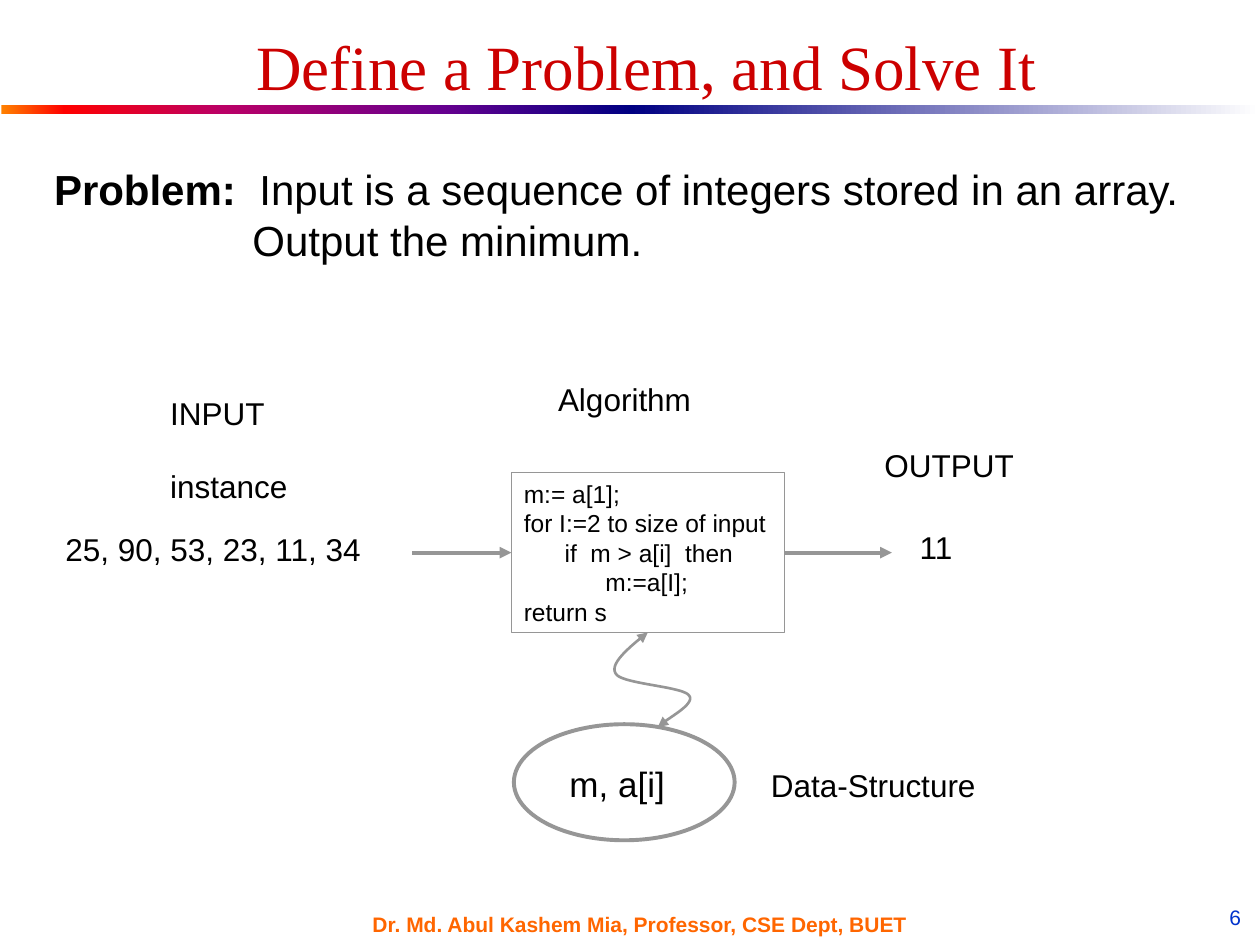
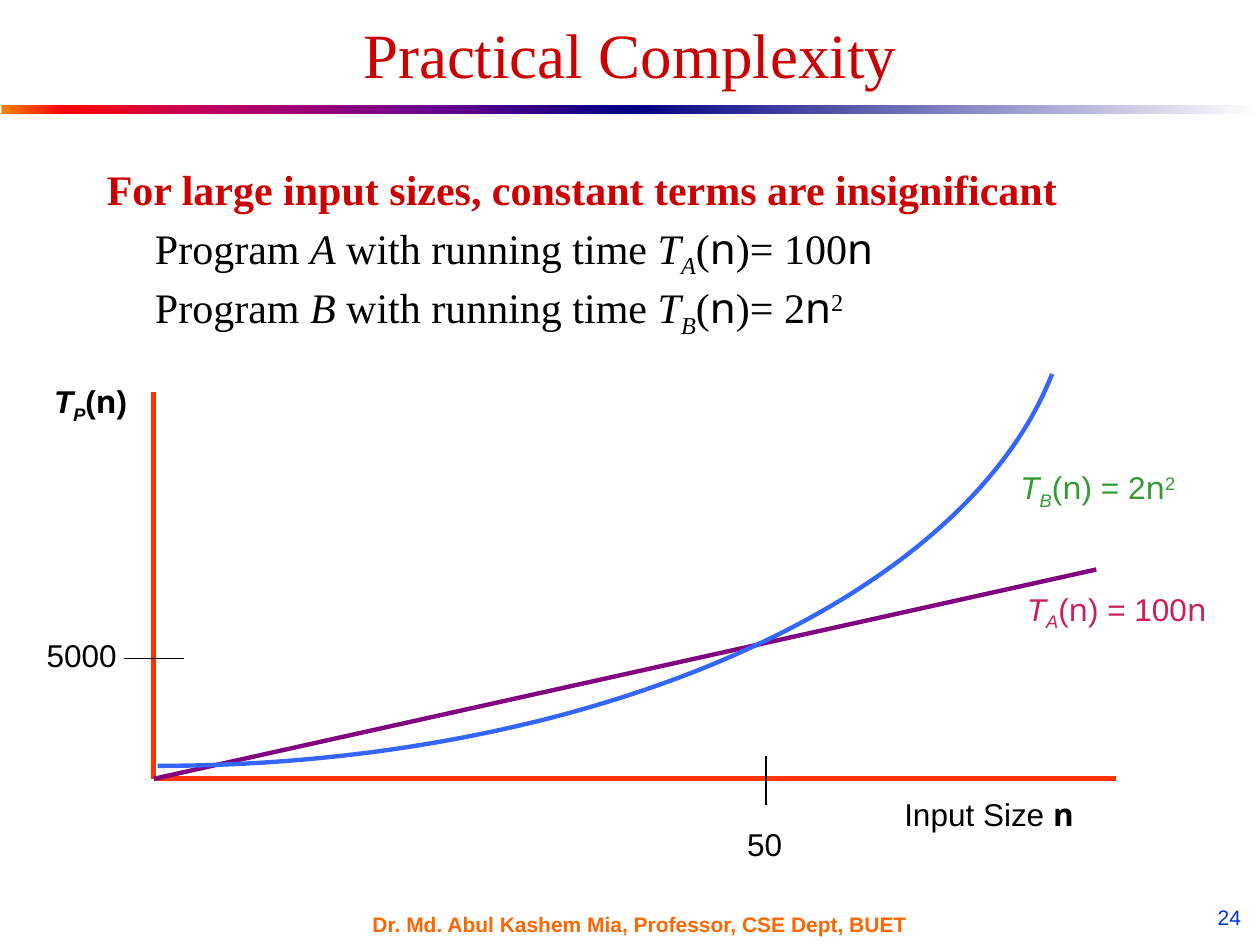
from lxml import etree
from pptx import Presentation
from pptx import util as u
from pptx.dml.color import RGBColor
from pptx.enum import shapes, text
from pptx.oxml.ns import qn

BLACK, GREY, RED, ORANGE = "000000", "969696", "CC0000", "FF6600"
SERIF, SANS, SYMBOL = "Times New Roman", "Arial", "Noto Sans"
STRAIGHT = shapes.MSO_CONNECTOR.STRAIGHT
LEFT, CENTER, RIGHT = text.PP_ALIGN.LEFT, text.PP_ALIGN.CENTER, text.PP_ALIGN.RIGHT
TOP, MIDDLE = text.MSO_ANCHOR.TOP, text.MSO_ANCHOR.MIDDLE


def write(shape, paragraphs, font=SANS, size=18, color=BLACK, bold=False, align=LEFT,
          anchor=TOP, wrap=True, grow=False, indents=(), spacing=1.0, before=0):
    """Fill a shape; run flags: b bold, i italic, r red, s symbol font, _ sub, ^ super."""
    frame = shape.text_frame
    frame.auto_size = text.MSO_AUTO_SIZE.SHAPE_TO_FIT_TEXT if grow else text.MSO_AUTO_SIZE.NONE
    frame.word_wrap = wrap
    frame.vertical_anchor = anchor
    for index, runs in enumerate(paragraphs):
        paragraph = frame.add_paragraph() if index else frame.paragraphs[0]
        paragraph.alignment = align
        paragraph.line_spacing = spacing
        paragraph.space_before = u.Pt(before if index else 0)
        if indents:
            margin, first = indents[index]
            properties = paragraph._p.get_or_add_pPr()
            properties.set("marL", str(u.Cm(margin)))
            properties.set("indent", str(u.Cm(first)))
            etree.SubElement(properties, qn("a:buNone"))
        for words, flags in [(runs, "")] if isinstance(runs, str) else runs:
            run = paragraph.add_run()
            run.text = words
            run.font.name = SYMBOL if "s" in flags else font
            run.font.size = u.Pt(size)
            run.font.bold = bold or "b" in flags
            run.font.italic = "i" in flags
            run.font.color.rgb = RGBColor.from_string(RED if "r" in flags else color)
            if "_" in flags or "^" in flags:
                baseline = "-25000" if "_" in flags else "30000"
                run._r.get_or_add_rPr().set("baseline", baseline)


def stroke(shape, color, width, arrows=()):
    """Set the line of a shape or connector, with arrows at headEnd or tailEnd."""
    shape.line.color.rgb = RGBColor.from_string(color)
    shape.line.width = u.Pt(width)
    properties = shape.element.spPr
    for end in arrows:
        etree.SubElement(properties.find(qn("a:ln")), qn("a:" + end), type="triangle")
    if properties.find(qn("a:effectLst")) is None:
        etree.SubElement(properties, qn("a:effectLst"))


presentation = Presentation()
presentation.slide_width, presentation.slide_height = u.Cm(25.4), u.Cm(19.05)

# Shared parts: title, gradient bands, slide number, footer
bands = [
    (0.03, [(0, "FF8200"), (10, "FF0000"), (35, "BA0066"), (70, "66008F"), (100, "000082")]),
    (12.7, [(0, "000082"), (100, "FFFFFF")]),
]
pages = [
    (5, "Define a Problem, and Solve It", (2.97, 0.58, 20.12, 1.47), "6"),
    (1, "Practical Complexity", (1.27, 0.43, 22.86, 1.27), "24"),
]
for layout, title_text, place, number in pages:
    slide = presentation.slides.add_slide(presentation.slide_layouts[layout])
    title = slide.shapes.title
    title.left, title.top, title.width, title.height = map(u.Cm, place)
    write(title, [title_text], font=SERIF, size=36, color=RED, align=CENTER, anchor=MIDDLE)

    for left, stops in bands:
        band = slide.shapes.add_shape(shapes.MSO_SHAPE.RECTANGLE, u.Cm(left), u.Cm(2.11),
                                      u.Cm(12.7), u.Cm(0.2))
        band.shadow.inherit = False
        band.line.fill.background()
        band.fill.gradient()
        band.fill.gradient_angle = 0
        stop_list = band.element.spPr.find(qn("a:gradFill")).find(qn("a:gsLst"))
        stop_list.clear()
        for position, color in stops:
            stop = etree.SubElement(stop_list, qn("a:gs"), pos=str(position * 1000))
            etree.SubElement(stop, qn("a:srgbClr"), val=color)

    number_box = slide.shapes.add_textbox(u.Cm(19.35), u.Cm(18.11), u.Cm(5.92), u.Cm(0.69))
    write(number_box, [number], size=12, color="0033CC", align=RIGHT)
    footer = slide.shapes.add_textbox(u.Cm(6.55), u.Cm(18.21), u.Cm(12.7), u.Cm(0.84))
    write(footer, ["Dr. Md. Abul Kashem Mia, Professor, CSE Dept, BUET"], size=12,
          color=ORANGE, bold=True, align=CENTER, anchor=MIDDLE, wrap=False)

problem_slide, complexity_slide = presentation.slides

# Slide 1: problem statement
problem = problem_slide.shapes.add_textbox(u.Cm(0.84), u.Cm(3.18), u.Cm(23.9), u.Cm(2.29))
write(problem, [[("Problem:", "b"), ("\tInput is a sequence of integers stored in an array.", "")],
                "Output the minimum."], size=24, indents=[(4.14, -4.14), (4, 0)])

# Slide 1: algorithm box and data-structure ellipse
algorithm = problem_slide.shapes.add_shape(shapes.MSO_SHAPE.RECTANGLE, u.Cm(10.31), u.Cm(9.53),
                                           u.Cm(5.51), u.Cm(3.22))
data_structure = problem_slide.shapes.add_shape(shapes.MSO_SHAPE.OVAL, u.Cm(10.36), u.Cm(14.6),
                                                u.Cm(4.45), u.Cm(2.34))
for shape, width in [(algorithm, 0.75), (data_structure, 2.25)]:
    shape.shadow.inherit = False
    shape.fill.background()
    stroke(shape, GREY, width)
write(algorithm, ["m:= a[1];", "for I:=2 to size of input", "      if  m > a[i]  then",
                  "            m:=a[I];", "return s"], size=14)

# Slide 1: arrows into and out of the algorithm
arrow_y = algorithm.top + algorithm.height // 2
input_arrow = problem_slide.shapes.add_connector(STRAIGHT, u.Cm(8.31), arrow_y,
                                                 algorithm.left, arrow_y)
input_arrow.end_connect(algorithm, 1)
output_arrow = problem_slide.shapes.add_connector(STRAIGHT, algorithm.left + algorithm.width,
                                                  arrow_y, u.Cm(17.98), arrow_y)
output_arrow.begin_connect(algorithm, 3)
for arrow in (input_arrow, output_arrow):
    stroke(arrow, GREY, 2.25, ["tailEnd"])

# Slide 2: statement list; T of n is shared by the list and the curve labels
time_of = {program: [("T", "i"), (program, "i_"), ("(", ""), ("n", "s")] for program in "ABP"}
linear, square = [("n", "s")], [("n", "s"), ("2", "^")]
programs = [
    [("Program ", ""), (program, "i"), (" with running time ", ""), *time_of[program],
     (")= " + factor, ""), *power]
    for program, factor, power in [("A", "100", linear), ("B", "2", square)]
]
body = complexity_slide.placeholders[1]
body.left, body.top, body.width, body.height = map(u.Cm, (1.9, 3.28, 21.59, 4.14))
write(body, [[("For large input sizes, constant terms are insignificant", "br")], *programs],
      font=SERIF, size=24, indents=[(0.97, -0.97), (0.97, 0), (0.97, 0)], spacing=0.9,
      before=4.8)

# Slide 2: axes, line of program A, tick marks
origin_x, origin_y = 3.1, 15.7
for x1, y1, x2, y2, color, width in [
    (origin_x, 7.9, origin_x, origin_y, "FF3300", 3),
    (origin_x, origin_y, 22.5, origin_y, "FF3300", 3),
    (origin_x, origin_y, 22.1, 11.48, "800080", 2.5),
    (15.44, 15.24, 15.44, 16.23, BLACK, 0.75),
    (2.49, 13.28, 3.71, 13.28, BLACK, 0.75),
]:
    line = complexity_slide.shapes.add_connector(STRAIGHT, *map(u.Cm, (x1, y1, x2, y2)))
    stroke(line, color, width)

# Curves on both slides: chains of cubic Bezier segments sampled as points
link = [(13.06, 12.75), (12.67, 13.06), (12.27, 13.39), (12.42, 13.59), (12.55, 13.79),
        (13.77, 13.84), (13.89, 14.02), (14.05, 14.2), (13.36, 14.53), (13.26, 14.66)]
quadratic = [(3.18, 15.44), (11.89, 15.44), (19.41, 12.14), (21.21, 7.54)]
for slide, controls, steps, color, width, arrows in [
    (problem_slide, link, 24, GREY, 1.5, ["headEnd", "tailEnd"]),
    (complexity_slide, quadratic, 90, "3366FF", 2.5, []),
]:
    points = []
    for start in range(0, len(controls) - 1, 3):
        segment = controls[start:start + 4]
        for step in range(1, steps + 1):
            t = step / steps
            weights = ((1 - t) ** 3, 3 * t * (1 - t) ** 2, 3 * t * t * (1 - t), t ** 3)
            points.append([u.Cm(sum(w * point[axis] for w, point in zip(weights, segment)))
                           for axis in (0, 1)])
    builder = slide.shapes.build_freeform(*map(u.Cm, controls[0]))
    builder.add_line_segments(points, close=False)
    curve = builder.convert_to_shape()
    curve.shadow.inherit = False
    curve.fill.background()
    stroke(curve, color, width, arrows)

# Labels on both slides
labels = [
    (problem_slide, 1.07, 10.57, 6.5, "25, 90, 53, 23, 11, 34", {}),
    (problem_slide, 3.18, 7.82, 2.41, "INPUT", {}),
    (problem_slide, 3.18, 9.3, 2.87, "instance", {}),
    (problem_slide, 17.58, 8.86, 3.12, "OUTPUT", {}),
    (problem_slide, 18.29, 10.52, 1.22, "11", {}),
    (problem_slide, 11, 7.54, 3.2, "Algorithm", {}),
    (problem_slide, 15.29, 15.32, 4.65, "Data-Structure", {}),
    (problem_slide, 11.23, 15.24, 2.8, "m, a[i]", {"size": 20, "wrap": True}),
    (complexity_slide, 0.84, 7.57, 2.06, time_of["P"] + [(")", "")], {"bold": True}),
    (complexity_slide, 20.45, 11.76, 4.29, time_of["A"] + [(") = 100", "")] + linear,
     {"color": "CC1F55"}),
    (complexity_slide, 20.32, 9.32, 4.24, time_of["B"] + [(") = 2", "")] + square,
     {"color": "339933", "wrap": True}),
    (complexity_slide, 14.81, 16.51, 1.22, "50", {}),
    (complexity_slide, 0.69, 12.7, 1.93, "5000", {}),
    (complexity_slide, 17.98, 15.9, 3.96, [("Input Size ", ""), ("n", "bs")], {}),
]
for slide, left, top, width, runs, style in labels:
    label = slide.shapes.add_textbox(u.Cm(left), u.Cm(top), u.Cm(width), u.Cm(1.02))
    write(label, [runs], **{"wrap": False, "grow": True, **style})

presentation.save("out.pptx")
